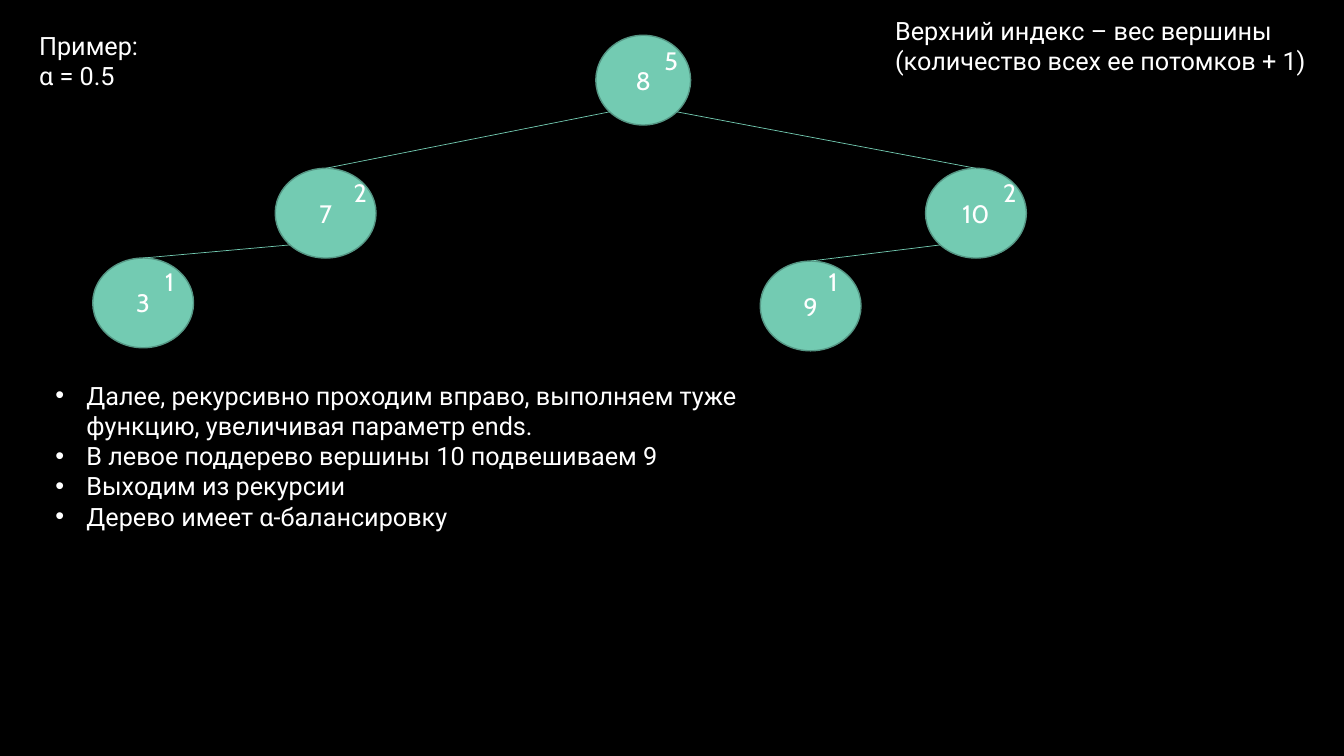
from math import sqrt
from pptx import Presentation
from pptx.util import Inches, Pt
from pptx.dml.color import RGBColor
from pptx.enum.shapes import MSO_SHAPE, MSO_CONNECTOR
from pptx.enum.text import MSO_ANCHOR, MSO_AUTO_SIZE, PP_ALIGN
from pptx.oxml.ns import qn
from lxml.etree import SubElement

THEME = {
    "back": RGBColor(0x00, 0x00, 0x00),
    "text": RGBColor(0xFF, 0xFF, 0xFF),
    "node": RGBColor(0x73, 0xCB, 0xB2),
    "rim": RGBColor(0x55, 0x96, 0x84),
    "size": Pt(18),
    "body": "Roboto",
    "digits": "Cabin",
}

NODE_H, WEIGHT_H = 0.89, 0.4
NODES = {
    "8": {"center": 6.38, "top": 0.35, "width": 0.94, "weight": ("5", 6.49, 0.4)},
    "7": {"center": 3.23, "top": 1.67, "width": 1, "weight": ("2", 3.41, 1.71)},
    "10": {"center": 9.68, "top": 1.67, "width": 1, "weight": ("2", 9.85, 1.71)},
    "3": {"center": 1.42, "top": 2.56, "width": 1, "weight": ("1", 1.54, 2.59)},
    "9": {"center": 8.04, "top": 2.59, "width": 1, "weight": ("1", 8.12, 2.59)},
}
EDGES = [("8", "7"), ("8", "10"), ("7", "3"), ("10", "9")]

CAPTIONS = [
    ((0.29, 0.25, 1.26, 0.71), ["Пример:", "α = 0.5"]),
    ((8.78, 0.1, 4.33, 0.71),
     ["Верхний индекс – вес вершины", "(количество всех ее потомков + 1)"]),
]
STEPS_BOX = (0.45, 3.72, 8.1, 1.62)
STEPS = [
    "Далее, рекурсивно проходим вправо, выполняем туже функцию, увеличивая параметр ends.",
    "В левое поддерево вершины 10 подвешиваем 9",
    "Выходим из рекурсии",
    "Дерево имеет α-балансировку",
]


def style(tf, font):
    for p in tf.paragraphs:
        for r in p.runs:
            r.font.name = font
            r.font.size = THEME["size"]
            r.font.color.rgb = THEME["text"]


def add_text(s, box, lines, font, wrap=False):
    tf = s.shapes.add_textbox(*map(Inches, box)).text_frame
    tf.text = "\n".join(lines)
    tf.word_wrap = wrap
    tf.auto_size = MSO_AUTO_SIZE.SHAPE_TO_FIT_TEXT
    style(tf, font)
    return tf


def add_node(s, label, node):
    left = node["center"] - node["width"] / 2
    sp = s.shapes.add_shape(MSO_SHAPE.OVAL, Inches(left), Inches(node["top"]),
                            Inches(node["width"]), Inches(NODE_H))
    sp.shadow.inherit = False
    sp.fill.solid()
    sp.fill.fore_color.rgb = THEME["node"]
    sp.line.color.rgb = THEME["rim"]
    sp.line.width = Pt(1)
    tf = sp.text_frame
    tf.text = label
    tf.vertical_anchor = MSO_ANCHOR.MIDDLE
    tf.paragraphs[0].alignment = PP_ALIGN.CENTER
    style(tf, THEME["digits"])
    return sp


def add_edge(s, parent, child, child_shape):
    side = 1 if child["center"] > parent["center"] else -1
    x = parent["center"] + side * parent["width"] / 2 / sqrt(2)
    y = parent["top"] + NODE_H / 2 * (1 + 1 / sqrt(2))
    c = s.shapes.add_connector(MSO_CONNECTOR.STRAIGHT, Inches(x), Inches(y),
                               Inches(child["center"]), Inches(child["top"]))
    c.end_connect(child_shape, 0)
    c.line.color.rgb = THEME["node"]
    c.line.width = Pt(0.5)
    SubElement(c._element.spPr, qn("a:effectLst"))


def add_steps(s):
    tf = add_text(s, STEPS_BOX, STEPS, THEME["body"], wrap=True)
    tf.margin_right = Inches(0.6)
    for p in tf.paragraphs:
        pPr = p._p.get_or_add_pPr()
        pPr.set("marL", str(Inches(0.31)))
        pPr.set("indent", str(-Inches(0.31)))
        SubElement(pPr, qn("a:buFont")).set("typeface", "Arial")
        SubElement(pPr, qn("a:buChar")).set("char", "•")


def main():
    prs = Presentation()
    prs.slide_width, prs.slide_height = Inches(13.33), Inches(7.5)
    s = prs.slides.add_slide(prs.slide_layouts[6])
    s.background.fill.solid()
    s.background.fill.fore_color.rgb = THEME["back"]

    shapes = {label: add_node(s, label, node) for label, node in NODES.items()}
    for parent, child in EDGES:
        add_edge(s, NODES[parent], NODES[child], shapes[child])
    for node in NODES.values():
        weight, left, top = node["weight"]
        add_text(s, (left, top, 0.32, WEIGHT_H), [weight], THEME["digits"])
    for box, lines in CAPTIONS:
        add_text(s, box, lines, THEME["body"])
    add_steps(s)
    prs.save("out.pptx")


if __name__ == "__main__":
    main()
